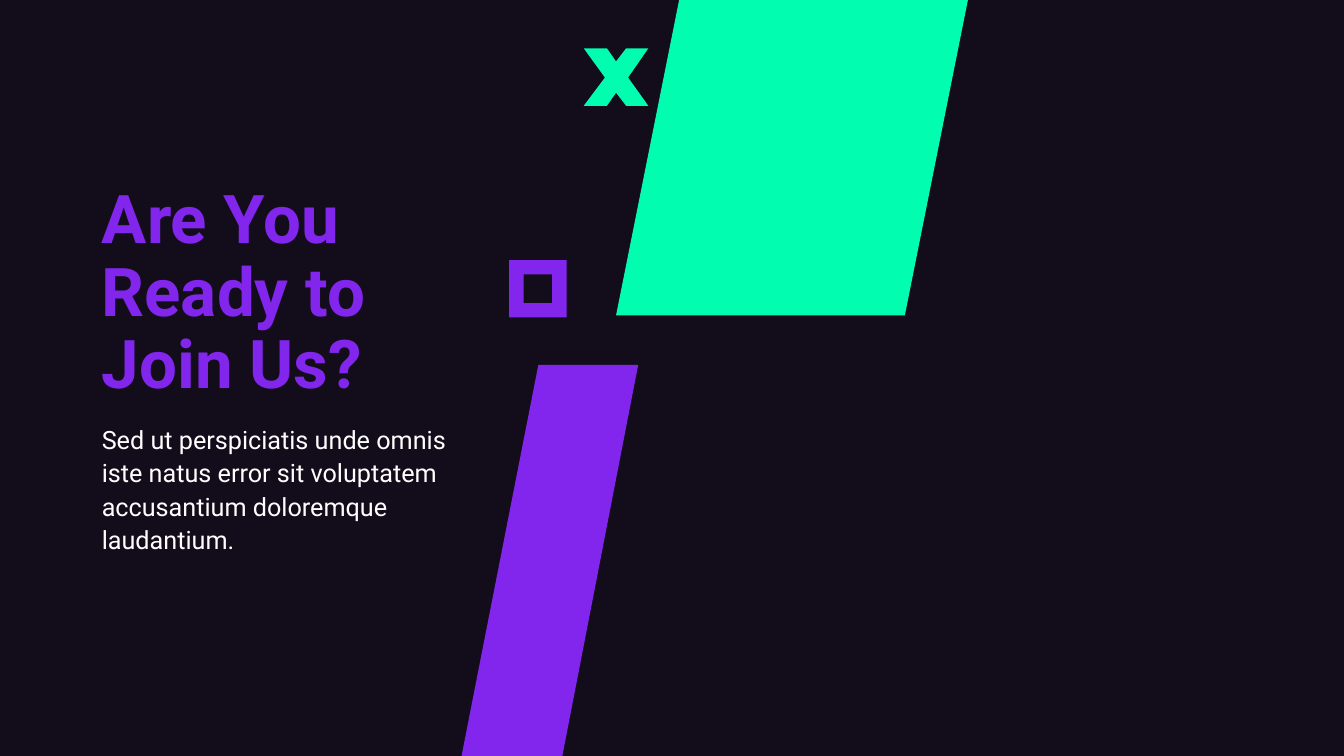
from dataclasses import dataclass

from pptx import Presentation, util as u
from pptx.dml.color import RGBColor
from pptx.enum import shapes, text

PX = 9144  # EMU per px, 100 px to the inch
FONT = "Roboto"
COLORS = {
    "night": "130D1B",
    "mint": "01FDB0",
    "violet": "8226EE",
    "white": "FFFFFF",
}


@dataclass
class Preset:
    kind: shapes.MSO_SHAPE
    box: tuple[int, int, int, int]
    adjustment: float
    color: str


@dataclass
class Outline:
    points: list[tuple[int, int]]
    color: str


@dataclass
class Copy:
    lines: list[str]
    box: tuple[int, int, int, int]
    size: int
    color: str
    bold: bool
    spacing: float
    anchor: text.MSO_ANCHOR


PRESETS = [
    Preset(shapes.MSO_SHAPE.PARALLELOGRAM, (611, 0, 349, 313), 0.2, "mint"),
    Preset(shapes.MSO_SHAPE.FRAME, (505, 258, 57, 57), 0.25, "violet"),
]
OUTLINES = [
    # Slanted band
    Outline([(534, 362), (633, 362), (557, 754), (457, 754)], "violet"),
    # X mark
    Outline([(579, 48), (602, 48), (611, 61), (621, 48), (643, 48), (623, 77),
             (643, 105), (621, 105), (611, 92), (602, 105), (579, 105), (600, 77)],
            "mint"),
]
TITLE = Copy(["Are You Ready to Join Us?"], (101, 114, 341, 286),
             48, "violet", True, 0.9, text.MSO_ANCHOR.BOTTOM)
BODY = Copy(["Sed ut perspiciatis unde omnis ", "iste natus error sit voluptatem ",
             "accusantium doloremque ", "laudantium."], (101, 418, 356, 316),
            18, "white", False, 1.1, text.MSO_ANCHOR.TOP)


def rgb(name: str) -> RGBColor:
    return RGBColor.from_string(COLORS[name])


def emu(box: tuple[int, int, int, int]) -> list[u.Emu]:
    return [u.Emu(length * PX) for length in box]


def paint(shape, color: str) -> None:
    shape.shadow.inherit = False
    shape.fill.solid()
    shape.fill.fore_color.rgb = rgb(color)
    shape.line.fill.background()


def draw_preset(slide, preset: Preset) -> None:
    shape = slide.shapes.add_shape(preset.kind, *emu(preset.box))
    shape.adjustments[0] = preset.adjustment
    paint(shape, preset.color)


def draw_outline(slide, outline: Outline) -> None:
    start, *rest = outline.points
    builder = slide.shapes.build_freeform(*start, scale=PX)
    builder.add_line_segments(rest, close=True)
    paint(builder.convert_to_shape(), outline.color)


def write(shape, copy: Copy) -> None:
    shape.left, shape.top, shape.width, shape.height = emu(copy.box)
    frame = shape.text_frame
    frame.word_wrap = True
    frame.auto_size = text.MSO_AUTO_SIZE.NONE
    frame.vertical_anchor = copy.anchor
    frame.margin_left = frame.margin_top = frame.margin_right = frame.margin_bottom = 0
    paragraph = frame.paragraphs[0]
    paragraph.alignment = text.PP_ALIGN.LEFT
    paragraph.line_spacing = copy.spacing
    for index, line in enumerate(copy.lines):
        if index:
            paragraph.add_line_break()
        run = paragraph.add_run()
        run.text = line
        run.font.name = FONT
        run.font.size = u.Pt(copy.size)
        run.font.bold = copy.bold
        run.font.color.rgb = rgb(copy.color)


def main() -> None:
    presentation = Presentation()
    presentation.slide_width = u.Inches(13.33)
    presentation.slide_height = u.Inches(7.5)
    slide = presentation.slides.add_slide(presentation.slide_layouts.get_by_name("Title Only"))
    slide.background.fill.solid()
    slide.background.fill.fore_color.rgb = rgb("night")

    # Decoration
    for preset in PRESETS:
        draw_preset(slide, preset)
    for outline in OUTLINES:
        draw_outline(slide, outline)

    # Text
    write(slide.shapes.title, TITLE)
    write(slide.shapes.add_textbox(*emu(BODY.box)), BODY)

    presentation.save("out.pptx")


if __name__ == "__main__":
    main()
